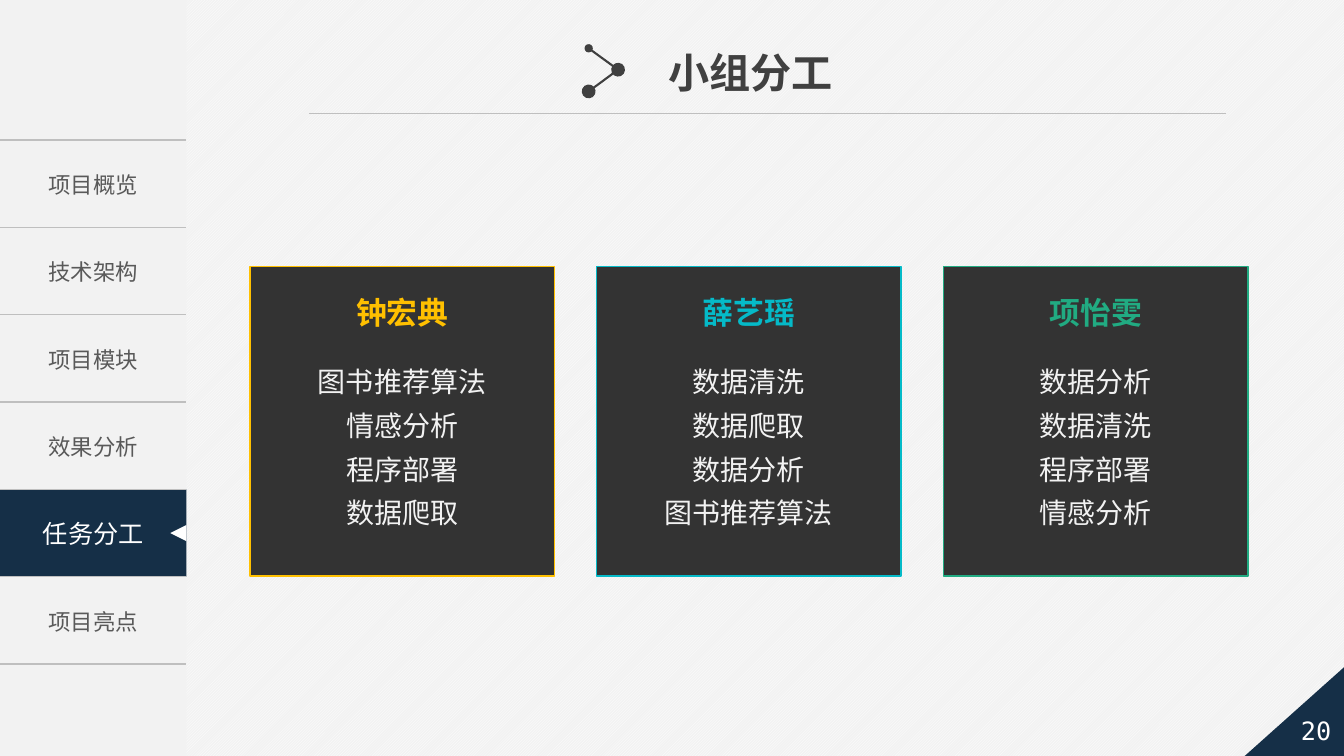
from dataclasses import dataclass

from lxml import etree
from pptx import Presentation
from pptx import util as u
from pptx.dml.color import RGBColor
from pptx.enum import dml, shapes, text
from pptx.oxml import ns
from pptx.shapes.autoshape import Shape
from pptx.shapes.connector import Connector
from pptx.slide import Slide
from pptx.table import _Cell
from pptx.text.text import TextFrame

WHITE = RGBColor(0xFF, 0xFF, 0xFF)
PAPER = RGBColor(0xF2, 0xF2, 0xF2)
NAVY = RGBColor(0x15, 0x2F, 0x47)
RULE = RGBColor(0xBF, 0xBF, 0xBF)
MENU_GREY = RGBColor(0x59, 0x59, 0x59)
TITLE_GREY = RGBColor(0x40, 0x40, 0x40)
CHARCOAL = RGBColor(0x33, 0x33, 0x33)
YELLOW = RGBColor(0xFF, 0xC0, 0x00)
CYAN = RGBColor(0x05, 0xBA, 0xC8)
GREEN = RGBColor(0x21, 0xAB, 0x82)

CJK = "Noto Sans CJK SC"
MONO = "DejaVu Sans Mono"
SIDEBAR_WIDTH = 133.2
MENU_TOP = 100
ROW_HEIGHT = 62.4
CARD_LEFT, CARD_TOP, CARD_PITCH = 178.5, 190.5, 247.7
CARD_WIDTH, CARD_HEIGHT = 217.5, 221


@dataclass(frozen=True)
class Box:
    left: float
    top: float
    width: float
    height: float

    def lengths(self) -> list[u.Length]:
        return [u.Pt(v) for v in (self.left, self.top, self.width, self.height)]


@dataclass(frozen=True)
class TextStyle:
    size: float
    color: RGBColor
    font: str = CJK
    bold: bool = False
    align: text.PP_ALIGN = text.PP_ALIGN.CENTER
    spacing: float = 1.0


@dataclass(frozen=True)
class Member:
    name: str
    color: RGBColor
    tasks: tuple[str, ...]


MENU = ("项目概览", "技术架构", "项目模块", "效果分析", "", "项目亮点")
MEMBERS = (
    Member("钟宏典", YELLOW, ("图书推荐算法", "情感分析", "程序部署", "数据爬取")),
    Member("薛艺瑶", CYAN, ("数据清洗", "数据爬取", "数据分析", "图书推荐算法")),
    Member("项怡雯", GREEN, ("数据分析", "数据清洗", "程序部署", "情感分析")),
)


def write(frame: TextFrame, content: str, style: TextStyle) -> None:
    frame.text = content
    for paragraph in frame.paragraphs:
        paragraph.alignment = style.align
        paragraph.line_spacing = style.spacing
        for run in paragraph.runs:
            run.font.name = style.font
            run.font.size = u.Pt(style.size)
            run.font.bold = style.bold
            run.font.color.rgb = style.color
            east_asian = etree.SubElement(run.font._element, ns.qn("a:ea"))
            east_asian.set("typeface", style.font)


def add_text(slide: Slide, box: Box, content: str, style: TextStyle, wrap: bool) -> None:
    frame = slide.shapes.add_textbox(*box.lengths()).text_frame
    frame.word_wrap = wrap
    write(frame, content, style)


def add_block(slide: Slide, preset: shapes.MSO_SHAPE, box: Box,
              fill: RGBColor | None, outline: RGBColor | None = None) -> Shape:
    shape = slide.shapes.add_shape(preset, *box.lengths())
    shape.shadow.inherit = False
    if fill is None:
        shape.fill.background()
    else:
        shape.fill.solid()
        shape.fill.fore_color.rgb = fill
    if outline is None:
        shape.line.fill.background()
    else:
        shape.line.color.rgb = outline
        shape.line.width = u.Pt(1)
    shape.text_frame.vertical_anchor = text.MSO_ANCHOR.MIDDLE
    return shape


def flip(shape: Shape) -> None:
    shape._element.spPr.find(ns.qn("a:xfrm")).set("flipH", "1")


def add_line(slide: Slide, start: tuple[float, float], end: tuple[float, float],
             color: RGBColor, width: float) -> Connector:
    line = slide.shapes.add_connector(
        shapes.MSO_CONNECTOR.STRAIGHT, *(u.Pt(v) for v in start + end))
    line.line.color.rgb = color
    line.line.width = u.Pt(width)
    etree.SubElement(line._element.spPr, ns.qn("a:effectLst"))
    return line


def add_dots(line: Connector) -> None:
    outline = line.line._get_or_add_ln()
    for tag, size in (("a:headEnd", "med"), ("a:tailEnd", "lg")):
        etree.SubElement(outline, ns.qn(tag), type="oval", w=size, len=size)


def set_borders(cell: _Cell) -> None:
    properties = cell._tc.get_or_add_tcPr()
    for side in ("L", "R", "T", "B"):
        border = etree.SubElement(properties, ns.qn(f"a:ln{side}"), w=str(u.Pt(1)))
        if side in "LR":
            etree.SubElement(border, ns.qn("a:noFill"))
        else:
            fill = etree.SubElement(border, ns.qn("a:solidFill"))
            etree.SubElement(fill, ns.qn("a:srgbClr"), val=str(RULE))


def add_menu(slide: Slide) -> None:
    box = Box(0, MENU_TOP, SIDEBAR_WIDTH, ROW_HEIGHT * len(MENU))
    table = slide.shapes.add_table(len(MENU), 1, *box.lengths()).table
    table.first_row = False
    table.horz_banding = False
    for row, label in enumerate(MENU):
        cell = table.cell(row, 0)
        set_borders(cell)
        cell.fill.background()
        cell.vertical_anchor = text.MSO_ANCHOR.MIDDLE
        write(cell.text_frame, label, TextStyle(16, MENU_GREY))


def add_sidebar(slide: Slide) -> None:
    add_block(slide, shapes.MSO_SHAPE.RECTANGLE, Box(0, 0, SIDEBAR_WIDTH, 540), PAPER)
    active_top = MENU_TOP + ROW_HEIGHT * MENU.index("")
    active = add_block(slide, shapes.MSO_SHAPE.RECTANGLE,
                       Box(0, active_top, SIDEBAR_WIDTH, ROW_HEIGHT), NAVY)
    write(active.text_frame, "任务分工", TextStyle(18, WHITE))
    pointer = add_block(slide, shapes.MSO_SHAPE.ISOSCELES_TRIANGLE,
                        Box(121.7, 375, 11.5, 11.5), WHITE)
    pointer.rotation = 270
    add_menu(slide)


def add_page_number(slide: Slide) -> None:
    corner = add_block(slide, shapes.MSO_SHAPE.RIGHT_TRIANGLE,
                       Box(888, 474, 75, 67), NAVY)
    flip(corner)
    number = add_block(slide, shapes.MSO_SHAPE.PENTAGON, Box(896.5, 502, 77.5, 39.5), None)
    flip(number)
    write(number.text_frame, "20", TextStyle(18, WHITE, MONO))


def add_title(slide: Slide) -> None:
    add_line(slide, (221, 81), (875.5, 81), RULE, 0.5)
    style = TextStyle(29.4, TITLE_GREY, "Arial", True, text.PP_ALIGN.LEFT)
    add_text(slide, Box(470.2, 30.2, 133.2, 42.5), "小组分工", style, False)
    joints = ((420.5, 34.5), (441.5, 49.8), (420.5, 65.3))
    for start, end in zip(joints, joints[1:]):
        add_dots(add_line(slide, start, end, TITLE_GREY, 1.5))


def add_card(slide: Slide, left: float, member: Member) -> None:
    add_block(slide, shapes.MSO_SHAPE.RECTANGLE,
              Box(left, CARD_TOP, CARD_WIDTH, CARD_HEIGHT), CHARCOAL, member.color)
    add_text(slide, Box(left + 68, 206.6, 81.5, 34), member.name,
             TextStyle(22, member.color, bold=True), False)
    add_text(slide, Box(left + 13, 249.8, 191.5, 130.3), "\n".join(member.tasks),
             TextStyle(20, PAPER, spacing=1.3), True)


def main() -> None:
    presentation = Presentation()
    presentation.slide_width = u.Pt(960)
    presentation.slide_height = u.Pt(540)
    slide = presentation.slides.add_slide(presentation.slide_layouts[6])
    backdrop = slide.background.fill
    backdrop.patterned()
    backdrop.pattern = dml.MSO_PATTERN.LIGHT_UPWARD_DIAGONAL
    backdrop.fore_color.rgb = WHITE
    backdrop.back_color.rgb = PAPER
    add_sidebar(slide)
    add_page_number(slide)
    add_title(slide)
    for position, member in enumerate(MEMBERS):
        add_card(slide, CARD_LEFT + position * CARD_PITCH, member)
    presentation.save("out.pptx")


if __name__ == "__main__":
    main()
